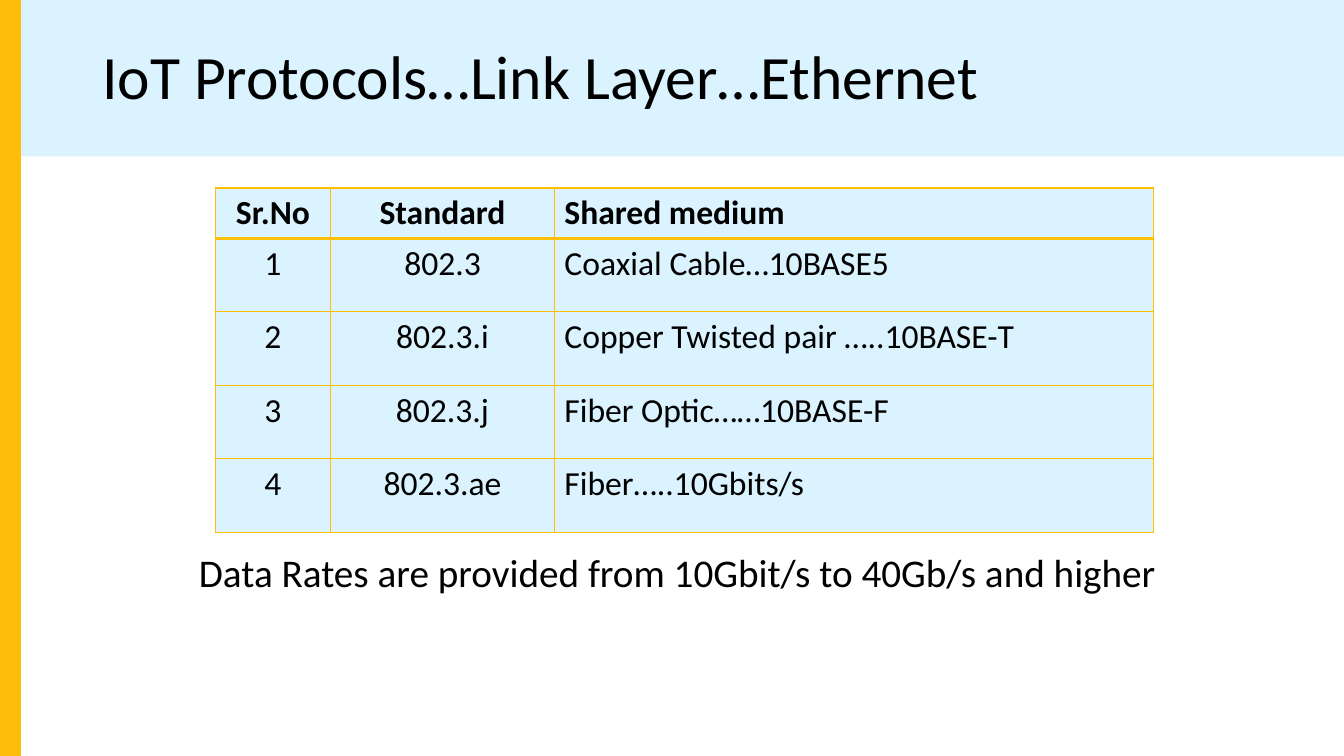
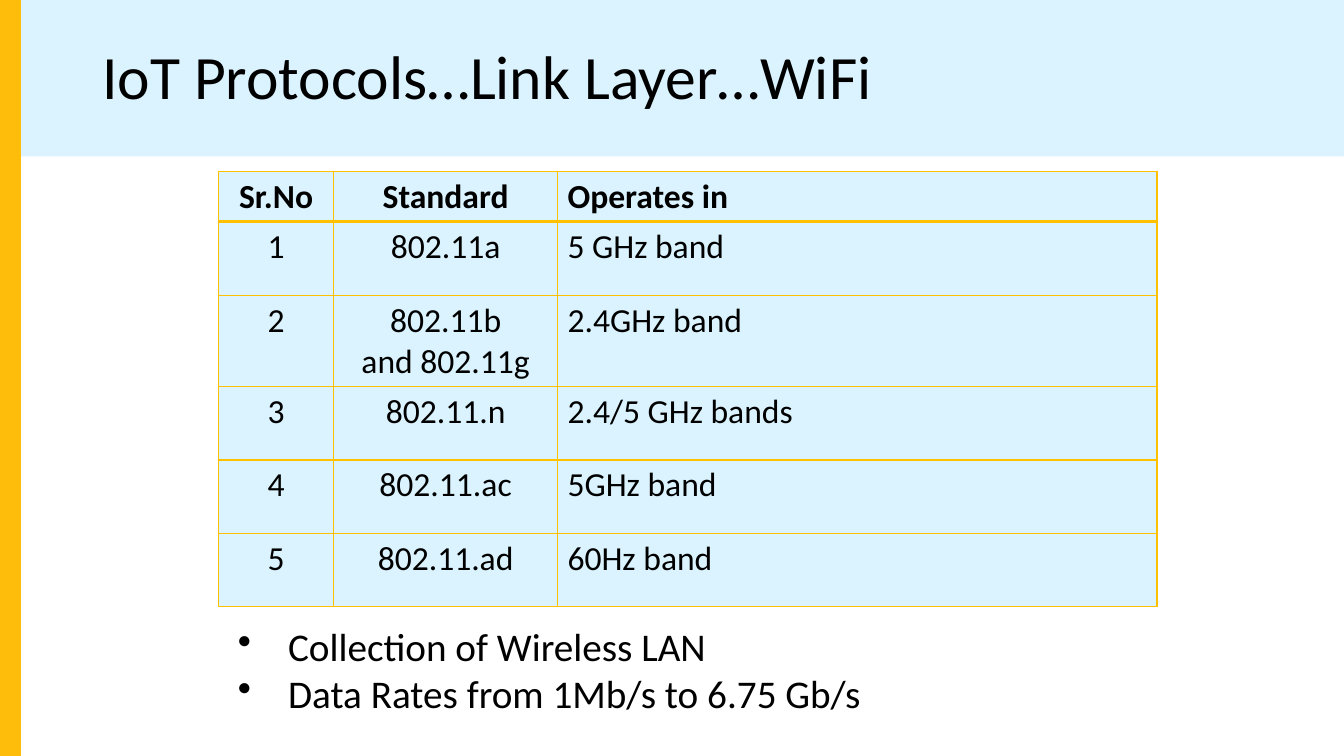
from pptx import Presentation
from pptx.dml.color import RGBColor
from pptx.enum.shapes import MSO_SHAPE as SHAPE
from pptx.enum.text import MSO_ANCHOR as ANCHOR, PP_ALIGN as ALIGN
from pptx.oxml import parse_xml
from pptx.oxml.ns import nsdecls
from pptx.util import Pt

PX = 9525  # EMU in one px, 96 px to the inch
W, H = 1280, 720
FONT = "Calibri"
BLACK = RGBColor(0x00, 0x00, 0x00)
PALE_BLUE = RGBColor(0xDA, 0xF3, 0xFE)
AMBER = RGBColor(0xFE, 0xBD, 0x0A)
GOLD = RGBColor(0xFF, 0xC0, 0x00)

BAND_H = 149
BAR_W = 20
COLS = [110, 213, 571]
HEAD_H, ROW_H, TALL_H = 48, 70, 87
INDENT = 48

SLIDES = [
    dict(
        title="IoT Protocols…Link Layer…Ethernet",
        table_at=(205, 179),
        rows=[
            ("Sr.No", "Standard", "Shared medium"),
            ("1", "802.3", "Coaxial Cable…10BASE5"),
            ("2", "802.3.i", "Copper Twisted pair …..10BASE-T"),
            ("3", "802.3.j", "Fiber Optic……10BASE-F"),
            ("4", "802.3.ae", "Fiber…..10Gbits/s"),
        ],
        notes_at=(180, 517, 949, 54),
        notes=["Data Rates are provided from 10Gbit/s to 40Gb/s and higher"],
        bullet=None,
    ),
    dict(
        title="IoT Protocols…Link Layer…WiFi",
        table_at=(208, 163),
        rows=[
            ("Sr.No", "Standard", "Operates in"),
            ("1", "802.11a", "5 GHz band"),
            ("2", "802.11b\vand 802.11g", "2.4GHz band"),
            ("3", "802.11.n", "2.4/5 GHz bands"),
            ("4", "802.11.ac", "5GHz band"),
            ("5", "802.11.ad", "60Hz band"),
        ],
        notes_at=(217, 588, 949, 100),
        notes=["Collection of Wireless LAN", "Data Rates from 1Mb/s to 6.75 Gb/s"],
        bullet="•",
    ),
]


def write(tf, lines, size, bold=False, align=ALIGN.LEFT, spacing=None, bullet=None):
    tf.word_wrap = True
    for i, line in enumerate(lines):
        p = tf.paragraphs[0] if i == 0 else tf.add_paragraph()
        p.text = line
        p.alignment = align
        if spacing:
            p.line_spacing = spacing
        if bullet:
            pPr = p._p.get_or_add_pPr()
            pPr.set("marL", str(INDENT * PX))
            pPr.set("indent", str(-INDENT * PX))
            pPr.append(parse_xml(f'<a:buChar {nsdecls("a")} char="{bullet}"/>'))
        for r in p.runs:
            r.font.name = FONT
            r.font.size = Pt(size)
            r.font.bold = bold
            r.font.color.rgb = BLACK


def add_rect(s, x, y, w, h, color):
    sp = s.shapes.add_shape(SHAPE.RECTANGLE, x * PX, y * PX, w * PX, h * PX)
    sp.shadow.inherit = False
    sp.fill.solid()
    sp.fill.fore_color.rgb = color
    sp.line.fill.background()


prs = Presentation()
prs.slide_width, prs.slide_height = W * PX, H * PX

for data in SLIDES:
    s = prs.slides.add_slide(prs.slide_layouts[6])

    # Title band
    add_rect(s, 0, 0, W, BAND_H, PALE_BLUE)
    title = s.shapes.add_textbox(88 * PX, 19 * PX, 1104 * PX, 113 * PX)
    title.text_frame.vertical_anchor = ANCHOR.MIDDLE
    write(title.text_frame, [data["title"]], 44, spacing=0.9)

    # Table of standards
    rows = data["rows"]
    heights = [HEAD_H] + [TALL_H if "\v" in row[1] else ROW_H for row in rows[1:]]
    x, y = data["table_at"]
    table = s.shapes.add_table(len(rows), len(COLS), x * PX, y * PX,
                               sum(COLS) * PX, sum(heights) * PX).table
    table.first_row = table.horz_banding = False
    for column, width in zip(table.columns, COLS):
        column.width = width * PX
    for i, row in enumerate(rows):
        table.rows[i].height = heights[i] * PX
        for j, text in enumerate(row):
            cell = table.cell(i, j)
            write(cell.text_frame, [text], 24, bold=i == 0,
                  align=ALIGN.CENTER if j < 2 else ALIGN.LEFT)
            # Borders: the rule under the header is twice as thick
            tcPr = cell._tc.get_or_add_tcPr()
            for side in "LRTB":
                thick = (i, side) in ((0, "B"), (1, "T"))
                tcPr.append(parse_xml(
                    f'<a:ln{side} {nsdecls("a")} w="{Pt(2 if thick else 1)}">'
                    f'<a:solidFill><a:srgbClr val="{GOLD}"/></a:solidFill></a:ln{side}>'))
            cell.fill.solid()
            cell.fill.fore_color.rgb = PALE_BLUE

    # Side bar
    add_rect(s, 0, 0, BAR_W, H, AMBER)

    # Data rates
    notes = s.shapes.add_textbox(*(v * PX for v in data["notes_at"]))
    write(notes.text_frame, data["notes"], 28, bullet=data["bullet"])

prs.save("out.pptx")
